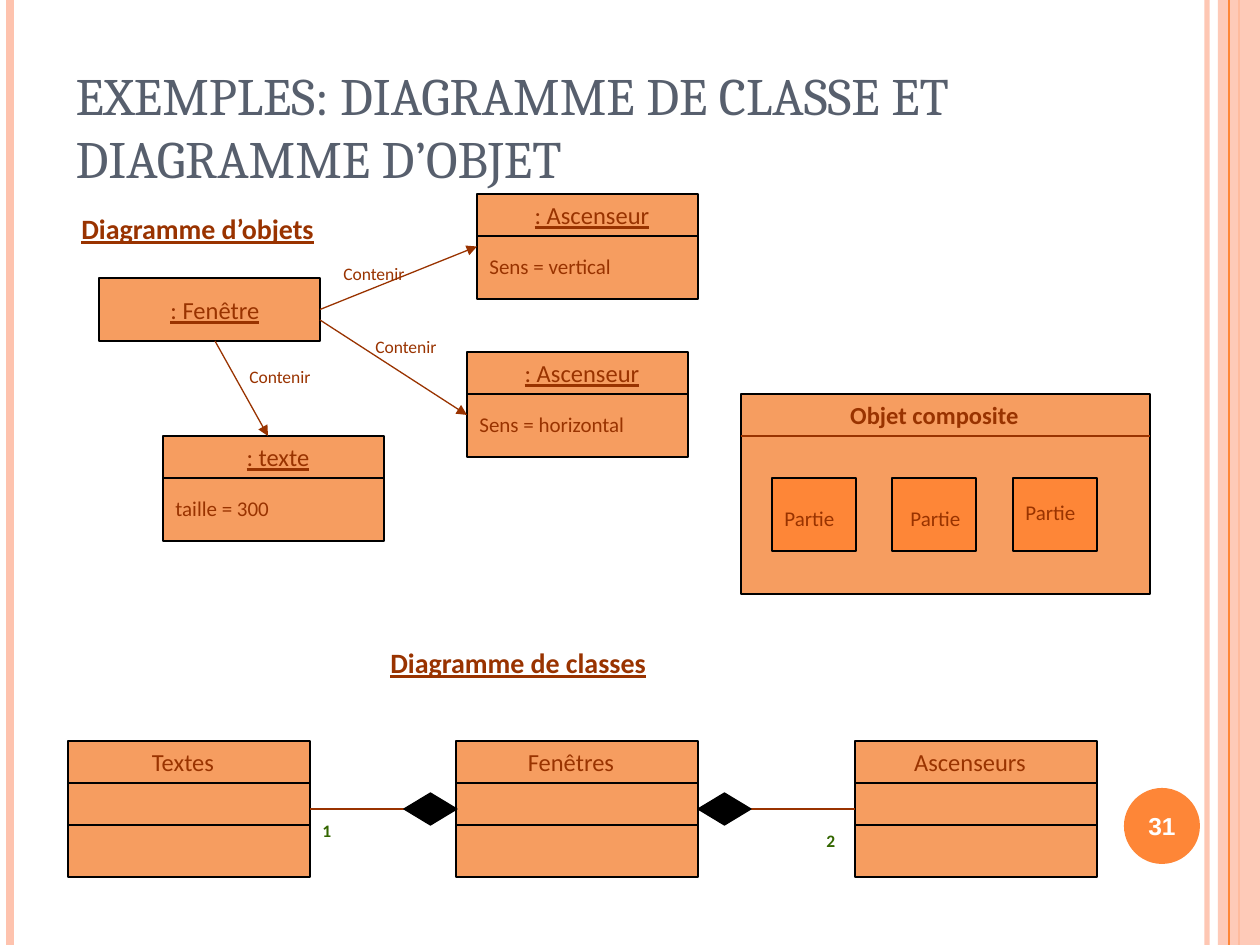
from pptx import Presentation
from pptx.dml.color import RGBColor
from pptx.enum.shapes import MSO_CONNECTOR, MSO_SHAPE
from pptx.enum.text import MSO_ANCHOR, MSO_AUTO_SIZE, PP_ALIGN
from pptx.oxml.ns import qn
from pptx.oxml.xmlchemy import OxmlElement
from pptx.util import Pt

EMU_PER_PX = 914400 / 126
RECT, DIAMOND, OVAL = MSO_SHAPE.RECTANGLE, MSO_SHAPE.DIAMOND, MSO_SHAPE.OVAL
STRAIGHT = MSO_CONNECTOR.STRAIGHT
LEFT, CENTER = PP_ALIGN.LEFT, PP_ALIGN.CENTER
TOP, MIDDLE, BOTTOM = MSO_ANCHOR.TOP, MSO_ANCHOR.MIDDLE, MSO_ANCHOR.BOTTOM
FIT_SHAPE, NO_FIT = MSO_AUTO_SIZE.SHAPE_TO_FIT_TEXT, MSO_AUTO_SIZE.NONE
SIDE_LEFT, SIDE_RIGHT = 1, 3

BLACK, WHITE = "000000", "FFFFFF"
BROWN, GREEN, SLATE = "993300", "336600", "575F6D"
ORANGE, PEACH, PINK = "FE8637", "F69D60", "FEC3AE"

OBJECT_W, OBJECT_H, HEADER_H = 221, 105, 42
CLASS_W, CLASS_H, CLASS_Y = 242, 136, 741


def px(length):
    return round(length * EMU_PER_PX)


def rgb(value):
    return RGBColor.from_string(value)


def set_alpha(element, percent):
    """Make the first colour of a drawn element partly transparent."""
    alpha = OxmlElement("a:alpha")
    alpha.set("val", str(percent * 1000))
    next(element.iter(qn("a:srgbClr"))).append(alpha)


class Diagram:
    """Holds the slide, the group being filled and the text style."""

    def __init__(self, slide, font="Calibri", color=BROWN):
        self.slide = slide
        self.shapes = slide.shapes
        self.font = font
        self.color = color

    def start_group(self):
        self.shapes = self.slide.shapes.add_group_shape().shapes

    def end_group(self):
        self.shapes = self.slide.shapes

    def fill_frame(self, frame, text, size, color=None, font=None, bold=False,
                   underline=False, align=LEFT):
        paragraph = frame.paragraphs[0]
        paragraph.alignment = align
        run = paragraph.add_run()
        run.text = text
        run.font.size = Pt(size)
        run.font.name = font or self.font
        run.font.bold = bold
        run.font.underline = underline
        run.font.color.rgb = rgb(color or self.color)

    def title(self, text, x, y, w, h):
        title = self.slide.shapes.title
        title.left, title.top, title.width, title.height = map(px, (x, y, w, h))
        frame = title.text_frame
        frame.word_wrap = True
        frame.auto_size = NO_FIT
        frame.vertical_anchor = BOTTOM
        self.fill_frame(frame, text, 30, SLATE, "Cambria")

    def text(self, text, x, y, w, h, size, wrap=True, anchor=TOP, fit=FIT_SHAPE, **style):
        frame = self.shapes.add_textbox(*map(px, (x, y, w, h))).text_frame
        frame.word_wrap = wrap
        frame.auto_size = fit
        frame.vertical_anchor = anchor
        self.fill_frame(frame, text, size, **style)

    def shape(self, kind, x, y, w, h, fill=PEACH, outline=BLACK, alpha=None):
        shape = self.shapes.add_shape(kind, *map(px, (x, y, w, h)))
        shape.shadow.inherit = False
        shape.fill.solid()
        shape.fill.fore_color.rgb = rgb(fill)
        if outline:
            shape.line.color.rgb = rgb(outline)
            shape.line.width = Pt(0.75)
        else:
            shape.line.fill.background()
        if alpha:
            set_alpha(shape.element, alpha)
        return shape

    def line(self, x1, y1, x2, y2, color=BROWN, width=0.75, alpha=None, arrow=False):
        line = self.shapes.add_connector(STRAIGHT, *map(px, (x1, y1, x2, y2)))
        line.line.color.rgb = rgb(color)
        line.line.width = Pt(width)
        properties = line.element.spPr
        properties.append(OxmlElement("a:effectLst"))
        if alpha:
            set_alpha(line.element, alpha)
        if arrow:
            head = OxmlElement("a:tailEnd")
            head.set("type", "triangle")
            properties.find(qn("a:ln")).append(head)
        return line

    def link(self, start, start_side, end, end_side, arrow=False):
        """Join the middles of two rectangle sides."""
        x1 = start.left + (start.width if start_side == SIDE_RIGHT else 0)
        x2 = end.left + (end.width if end_side == SIDE_RIGHT else 0)
        y1, y2 = (box.top + box.height // 2 for box in (start, end))
        ends = (round(emu / EMU_PER_PX) for emu in (x1, y1, x2, y2))
        line = self.line(*ends, arrow=arrow)
        line.begin_connect(start, start_side)
        line.end_connect(end, end_side)

    def object_box(self, name, attribute, x, y):
        box = self.shape(RECT, x, y, OBJECT_W, OBJECT_H)
        self.text(name, x + 10, y, 210, 43, 14, underline=True, align=CENTER)
        self.line(x, y + HEADER_H, x + OBJECT_W, y + HEADER_H, BLACK)
        self.text(attribute, x, y + 53, OBJECT_W, 38, 12)
        return box

    def class_box(self, name, x):
        box = self.shape(RECT, x, CLASS_Y, CLASS_W, CLASS_H)
        for row in (1, 2):
            y = CLASS_Y + row * HEADER_H
            self.line(x, y, x + CLASS_W, y, BLACK)
        self.text(name, x + 31, CLASS_Y, 168, 43, 14, align=CENTER)
        return box


def draw_frame(diagram):
    diagram.line(1207, 0, 1207, 945, PINK, 3, alpha=93)
    diagram.line(10, 0, 10, 945, PINK, 4.5)
    diagram.line(1239, 0, 1239, 945, ORANGE, 1.5)
    diagram.shape(RECT, 1218, 0, 42, 945, PINK, None, alpha=87)
    diagram.line(1229, 0, 1229, 945, ORANGE)
    diagram.shape(OVAL, 1124, 788, 76, 76, ORANGE, None)


def draw_composite(diagram):
    diagram.start_group()
    diagram.shape(RECT, 741, 394, 409, 200)
    for part_x in (772, 892, 1013):
        diagram.shape(RECT, part_x, 478, 84, 73, ORANGE)
    diagram.line(741, 436, 1150, 436)
    for label_x, label_y in ((772, 499), (898, 499), (1013, 493)):
        diagram.text("Partie", label_x, label_y, 105, 38, 12)
    diagram.text("Objet composite", 803, 394, 263, 43, 14, bold=True, align=CENTER)
    diagram.end_group()


def draw_objects(diagram):
    diagram.start_group()
    window = diagram.shape(RECT, 99, 278, OBJECT_W, 63)
    diagram.text(": Fenêtre", 110, 289, 210, 43, 14, underline=True, align=CENTER)
    vertical = diagram.object_box(": Ascenseur", "Sens = vertical", 477, 194)
    diagram.object_box(": texte", "taille = 300", 163, 436)
    diagram.object_box(": Ascenseur", "Sens = horizontal", 467, 352)
    diagram.link(window, SIDE_RIGHT, vertical, SIDE_LEFT, arrow=True)
    diagram.line(215, 341, 268, 436, arrow=True)
    diagram.line(320, 320, 467, 415, arrow=True)
    for label_x, label_y in ((237, 360), (363, 330), (331, 257)):
        diagram.text("Contenir", label_x, label_y, 126, 34, 10)
    diagram.end_group()


def draw_classes(diagram):
    diagram.start_group()
    windows = diagram.class_box("Fenêtres", 456)
    scrollbars = diagram.class_box("Ascenseurs", 855)
    texts = diagram.class_box("Textes", 68)
    diagram.link(windows, SIDE_RIGHT, scrollbars, SIDE_LEFT)
    diagram.link(windows, SIDE_LEFT, texts, SIDE_RIGHT)
    for diamond_x in (698, 404):
        diagram.shape(DIAMOND, diamond_x, 793, 53, 32, BLACK)
    for count, count_x, count_y in (("2", 814, 824), ("1", 310, 814)):
        diagram.text(count, count_x, count_y, 53, 34, 10, color=GREEN, bold=True)
    diagram.end_group()


def main():
    presentation = Presentation()
    presentation.slide_width, presentation.slide_height = px(1260), px(945)
    diagram = Diagram(presentation.slides.add_slide(presentation.slide_layouts[5]))
    draw_frame(diagram)
    diagram.title("EXEMPLES: DIAGRAMME DE CLASSE ET DIAGRAMME D’OBJET", 63, 38, 1029, 157)
    draw_composite(diagram)
    draw_objects(diagram)
    draw_classes(diagram)
    for heading, x, y, w in (("Diagramme d’objets", 69, 205, 306),
                             ("Diagramme de classes", 378, 639, 336)):
        diagram.text(heading, x, y, w, 47, 16, wrap=False, bold=True, underline=True)
    diagram.text("31", 1120, 790, 84, 72, 14, anchor=MIDDLE, fit=NO_FIT,
                 color=WHITE, font="Arial", bold=True, align=CENTER)
    presentation.save("out.pptx")


if __name__ == "__main__":
    main()
